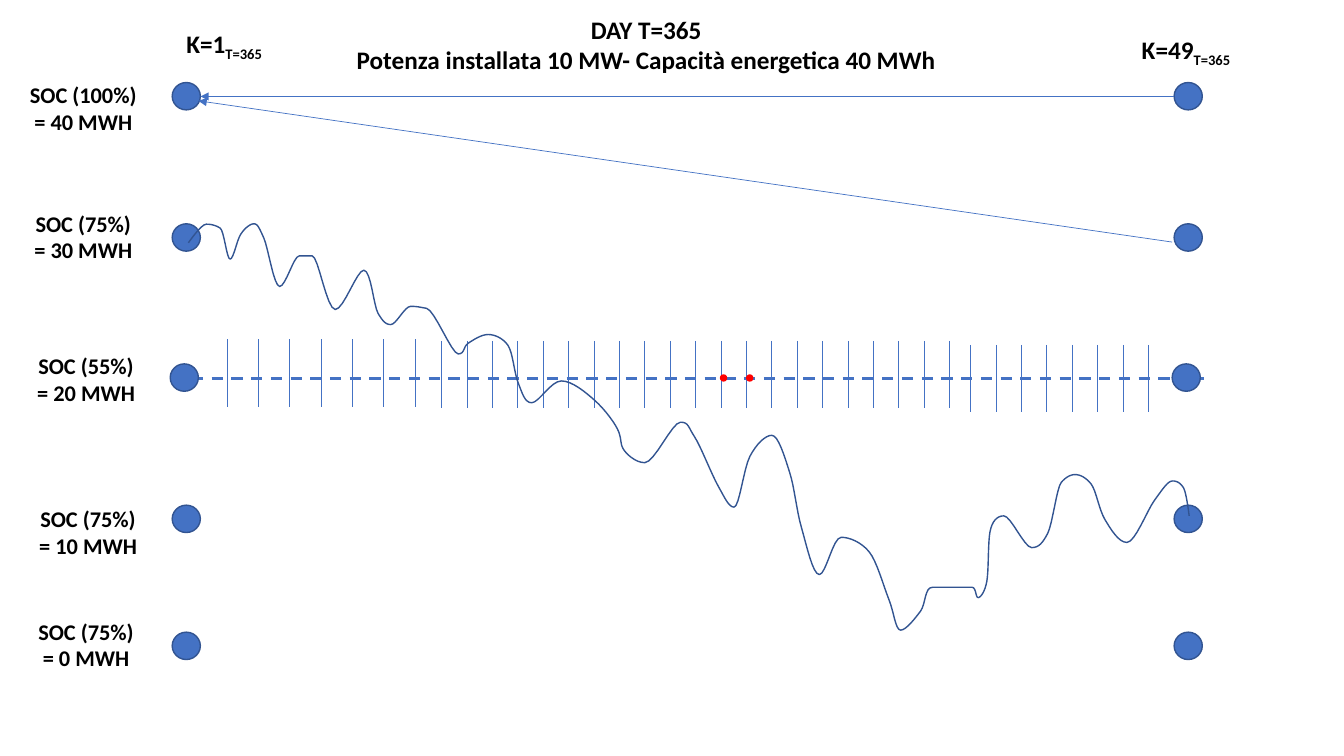
import pptx
import pptx.util
import pptx.dml.color
import pptx.enum.dml
import pptx.enum.shapes
import pptx.enum.text
import pptx.oxml.ns
from lxml import etree

Cm = pptx.util.Cm
Pt = pptx.util.Pt
HUES = {"blue": "4472C4", "edge": "325491", "red": "FF0000", "text": "000000"}

LEVELS = [
    ("SOC (100%)", "= 40 MWH", 0.18, 1.93, 2.08),
    ("SOC (75%)", "= 30 MWH", 0.18, 5.16, 5.64),
    ("SOC (55%)", "= 20 MWH", 0.25, 8.74, 9.17),
    ("SOC (75%)", "= 10 MWH", 0.3, 12.6, 12.73),
    ("SOC (75%)", "= 0 MWH", 0.25, 15.44, 15.93),
]

CHARGE = [
    (4.75, 6.12), (5.2, 5.65), (5.55, 5.75), (5.8, 6.53), (6.07, 5.9),
    (6.4, 5.64), (6.65, 6), (7.05, 7.22), (7.54, 6.45), (7.87, 6.45),
    (8.45, 7.8), (9.17, 6.81), (9.53, 7.9), (9.85, 8.18), (10.35, 7.72),
    (10.75, 7.77), (11.55, 8.92), (11.8, 8.65), (12.3, 8.43), (12.8, 8.7),
    (13.06, 9.65), (13.4, 10.15), (14.15, 9.6), (15, 10.1), (15.6, 10.9),
    (15.7, 11.3), (16.25, 11.66), (17.15, 10.64), (17.5, 11), (18.1, 12.25),
    (18.5, 12.78), (18.9, 11.5), (19.45, 10.97), (19.9, 11.9), (20.2, 13.3),
    (20.65, 14.48), (21.2, 13.54), (21.9, 13.9), (22.4, 15.1), (22.7, 15.88),
    (23.2, 15.4), (23.5, 14.8), (24.5, 14.8), (24.65, 15.06), (24.87, 14.65),
    (24.95, 13.4), (25.3, 13), (26, 13.8), (26.4, 13.45), (26.75, 12.15),
    (27.1, 11.96), (27.5, 12.2), (27.85, 13.1), (28.4, 13.67), (29.1, 12.6),
    (29.55, 12.12), (29.83, 12.3), (29.97, 13),
]


def slope(a, b, c):
    """Return the slope at b, flat where the values turn."""
    back, ahead = b - a, c - b
    if back * ahead <= 0:
        return 0
    low = 2 * min(back, ahead, key=abs)
    return min((back + ahead) / 2, low, key=abs)


def smooth(pts, steps=8):
    """Return points along a cubic spline through pts."""
    ends = [pts[0], *pts, pts[-1]]
    out = [pts[0]]
    for quad in zip(ends, ends[1:], ends[2:], ends[3:]):
        for n in range(1, steps + 1):
            t = n / steps
            rise = t * t * (3 - 2 * t)
            go, stop = t * (1 - t) ** 2, t * t * (t - 1)
            out.append(tuple(
                q + (r - q) * rise + go * slope(p, q, r) + stop * slope(q, r, s)
                for p, q, r, s in zip(*quad)))
    return out


class Chart:
    """Draws the elements of the charge diagram on one slide."""

    def __init__(self, deck):
        self.font = "Calibri"
        self.slide = deck.slides.add_slide(deck.slide_layouts[5])
        self.shapes = self.slide.shapes

    def hue(self, name):
        return pptx.dml.color.RGBColor.from_string(HUES[name])

    def edge(self, shape, name, width):
        shape.line.color.rgb = self.hue(name)
        shape.line.width = Pt(width)

    def fill(self, box, lines, size):
        frame = box.text_frame
        frame.word_wrap = True
        frame.auto_size = pptx.enum.text.MSO_AUTO_SIZE.NONE
        frame.vertical_anchor = pptx.enum.text.MSO_ANCHOR.TOP
        frame.text = "\n".join(lines)
        for para in frame.paragraphs:
            para.alignment = pptx.enum.text.PP_ALIGN.CENTER
            para.font.name = self.font
            para.font.size = Pt(size)
            para.font.bold = True
            para.font.color.rgb = self.hue("text")
        return frame.paragraphs[0]

    def title(self, lines, x, y, w, h):
        box = self.shapes.title
        box.left, box.top, box.width, box.height = Cm(x), Cm(y), Cm(w), Cm(h)
        self.fill(box, lines, 18)

    def label(self, lines, x, y, h, size=16, sub=None):
        box = self.shapes.add_textbox(Cm(x), Cm(y), Cm(3.84), Cm(h))
        para = self.fill(box, lines, size)
        if sub:
            run = para.add_run()
            run.text = sub
            run._r.get_or_add_rPr().set("baseline", "-25000")

    def line(self, x, y, to_x, to_y, width=0.5, dash=False, arrow=False):
        link = self.shapes.add_connector(
            pptx.enum.shapes.MSO_CONNECTOR.STRAIGHT,
            Cm(x), Cm(y), Cm(to_x), Cm(to_y))
        self.edge(link, "blue", width)
        if dash:
            link.line.dash_style = pptx.enum.dml.MSO_LINE.DASH
        if arrow:
            etree.SubElement(link.line._get_or_add_ln(),
                             pptx.oxml.ns.qn("a:tailEnd"), type="triangle")
        etree.SubElement(link._element.spPr, pptx.oxml.ns.qn("a:effectLst"))

    def ticks(self, start, step, count, top):
        for n in range(count):
            x = start + n * step
            self.line(x, top, x, top + 1.7)

    def dot(self, x, y, w, h, fill="blue", edge="edge"):
        dot = self.shapes.add_shape(pptx.enum.shapes.MSO_SHAPE.OVAL,
                                    Cm(x), Cm(y), Cm(w), Cm(h))
        dot.shadow.inherit = False
        dot.fill.solid()
        dot.fill.fore_color.rgb = self.hue(fill)
        self.edge(dot, edge, 1)

    def curve(self, pts):
        pts = [(Cm(x), Cm(y)) for x, y in smooth(pts)]
        pen = self.shapes.build_freeform(*pts[0])
        pen.add_line_segments(pts[1:], close=False)
        wave = pen.convert_to_shape()
        wave.shadow.inherit = False
        wave.fill.background()
        self.edge(wave, "edge", 1)


def main():
    deck = pptx.Presentation()
    deck.slide_width, deck.slide_height = Cm(33.87), Cm(19.05)
    chart = Chart(deck)
    chart.title(["DAY T=365",
                 "Potenza installata 10 MW- Capacità energetica 40 MWh"],
                8.46, 0.23, 15.65, 1.8)
    chart.line(4.34, 9.53, 30.35, 9.53, width=2, dash=True)
    chart.ticks(5.72, 0.79, 7, 8.55)
    chart.ticks(11.13, 0.64, 21, 8.59)
    chart.ticks(24.46, 0.64, 8, 8.69)
    for head, tail, x, y, top in LEVELS:
        chart.label([head, tail], x, y, 1.63)
        left = 4.29 if "55" in head else 4.34
        for x in (left, left + 25.25):
            chart.dot(x, top, 0.71, 0.69)
    chart.curve(CHARGE)
    chart.label(["K=1"], 3.73, 0.58, 1.02, 18, "T=365")
    chart.label(["K=49"], 27.97, 0.74, 1.02, 18, "T=365")
    chart.line(29.59, 2.43, 5.05, 2.43, arrow=True)
    chart.line(29.54, 6.1, 5, 2.54, arrow=True)
    for x in (18.16, 18.82):
        chart.dot(x, 9.45, 0.15, 0.15, "red", "red")
    deck.save("out.pptx")


if __name__ == "__main__":
    main()
